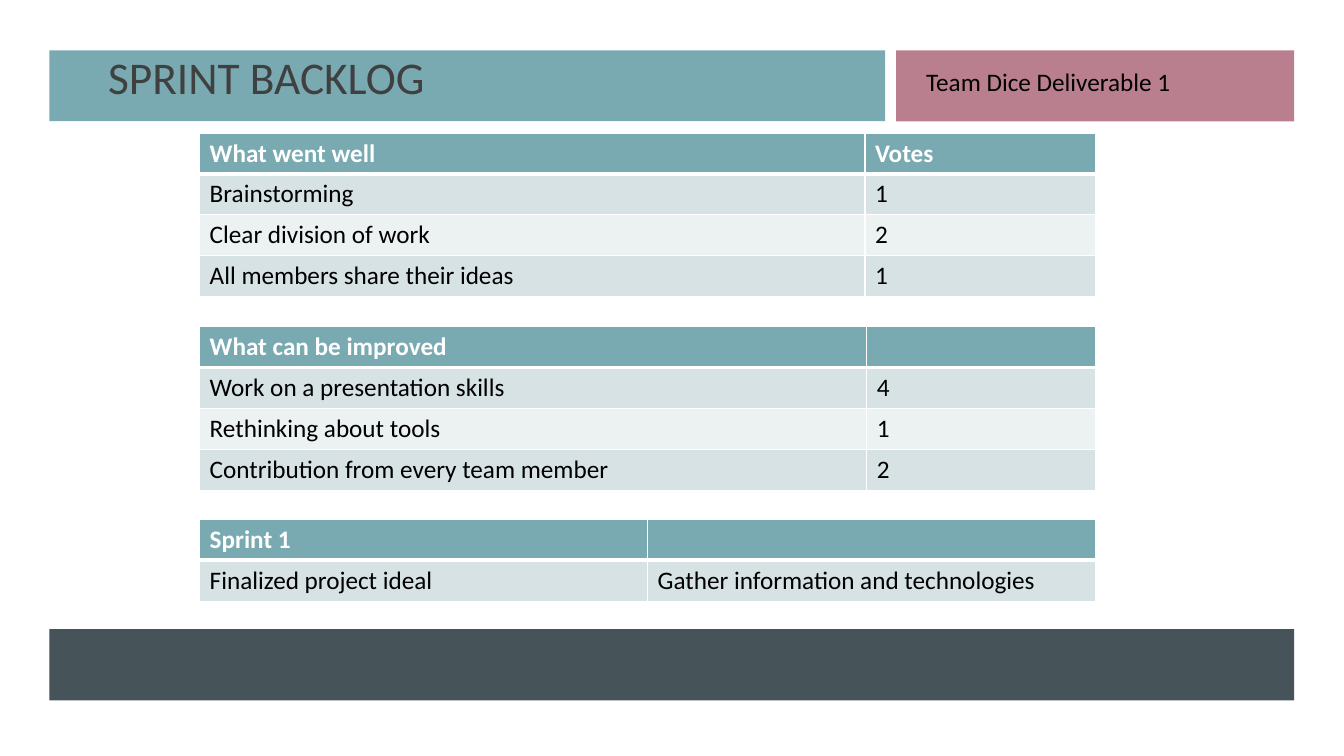
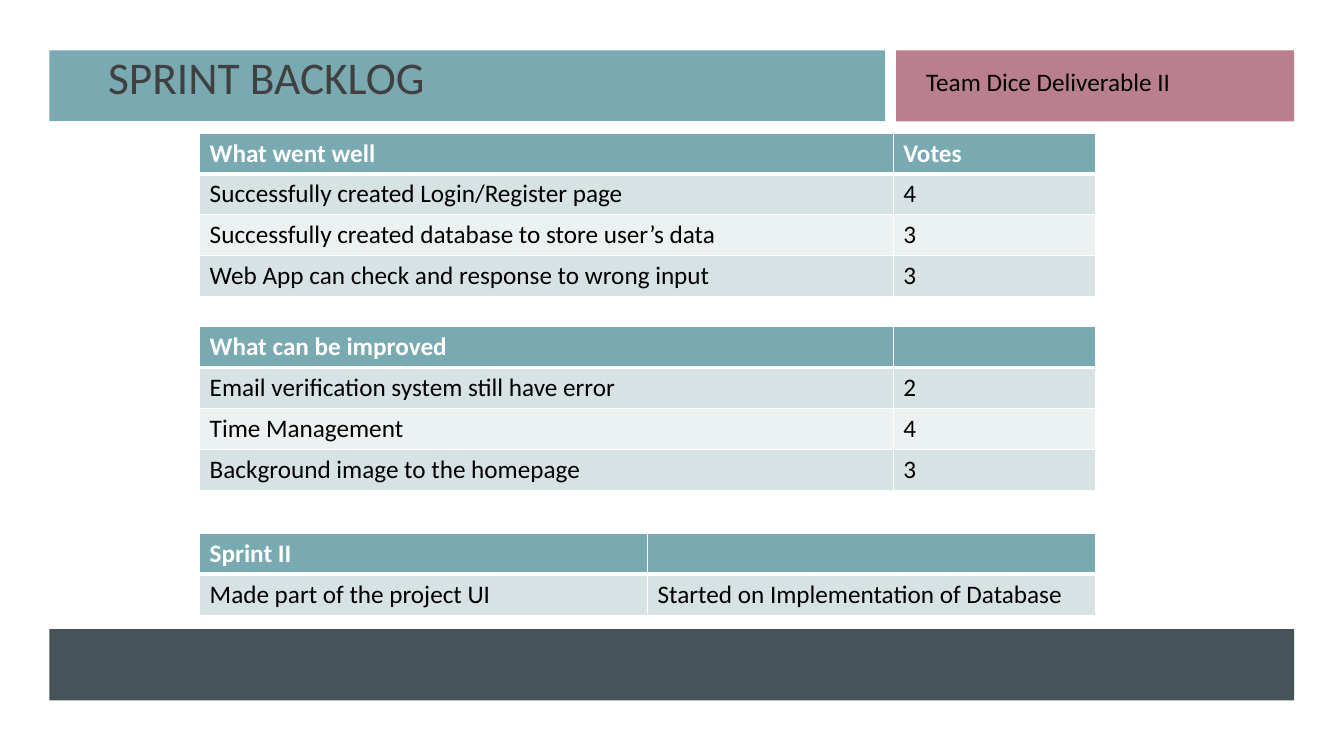
from dataclasses import dataclass

from lxml import etree
from pptx import Presentation
from pptx.dml.color import RGBColor
from pptx.enum import shapes, text
from pptx.oxml import ns
from pptx.util import Pt


@dataclass(frozen=True)
class Theme:
    """Colours, type and measures shared by all slides, lengths in points."""

    font: str = "Calibri"
    title_size: float = 32.4
    body_size: float = 18
    teal: str = "79AAB2"
    rose: str = "BA7F8F"
    slate: str = "465359"
    title_ink: str = "404040"
    ink: str = "000000"
    white: str = "FFFFFF"
    stripes: tuple = ("D7E2E4", "ECF1F2")
    thin: float = 1
    thick: float = 3
    table_left: float = 142.6
    table_width: float = 640.1
    row_height: float = 29.2


THEME = Theme()

BANDS = (
    (35.3, 36, 596.9, 50.6, THEME.teal),
    (640.1, 36, 284.4, 50.8, THEME.rose),
    (35.3, 449.3, 889.2, 51, THEME.slate),
)

SPRINTS = (
    ("Team Dice Deliverable 1", (
        (95, 475.2, (
            ("What went well", "Votes"),
            ("Brainstorming", "1"),
            ("Clear division of work", "2"),
            ("All members share their ideas", "1"))),
        (233.3, 476.6, (
            ("What can be improved", ""),
            ("Work on a presentation skills", "4"),
            ("Rethinking about tools", "1"),
            ("Contribution from every team member", "2"))),
        (371, 320, (
            ("Sprint 1", ""),
            ("Finalized project ideal", "Gather information and technologies"))),
    )),
    ("Team Dice Deliverable II", (
        (95, 495.4, (
            ("What went well", "Votes"),
            ("Successfully created Login/Register page", "4"),
            ("Successfully created database to store user’s data", "3"),
            ("Web App can check and response to wrong input", "3"))),
        (233.3, 495.4, (
            ("What can be improved", ""),
            ("Email verification system still have error", "2"),
            ("Time Management", "4"),
            ("Background image to the homepage", "3"))),
        (381, 320, (
            ("Sprint II", ""),
            ("Made part of the project UI", "Started on Implementation of Database"))),
    )),
)


def add_span(para, words, size, color, bold=False):
    """Add one formatted run to a paragraph."""
    span = para.add_run()
    span.text = words
    span.font.name = THEME.font
    span.font.size = Pt(size)
    span.font.bold = bold
    span.font.color.rgb = RGBColor.from_string(color)


def add_band(page, left, top, width, height, color):
    """Add a plain coloured rectangle."""
    band = page.shapes.add_shape(
        shapes.MSO_SHAPE.RECTANGLE, Pt(left), Pt(top), Pt(width), Pt(height))
    band.shadow.inherit = False
    band.fill.solid()
    band.fill.fore_color.rgb = RGBColor.from_string(color)
    band.line.fill.background()


def set_title(page, words):
    """Place the title placeholder in front of the bands and fill it."""
    title = page.shapes.title
    title.element.getparent().append(title.element)
    title.left, title.top, title.width, title.height = Pt(70), Pt(44), Pt(436), Pt(34)
    frame = title.text_frame
    frame.auto_size = text.MSO_AUTO_SIZE.NONE
    frame.vertical_anchor = text.MSO_ANCHOR.BOTTOM
    para = frame.paragraphs[0]
    para.alignment = text.PP_ALIGN.LEFT
    para.line_spacing = 0.9
    add_span(para, words, THEME.title_size, THEME.title_ink)


def add_label(page, words):
    """Add the deliverable name on the rose band."""
    box = page.shapes.add_textbox(Pt(654.5), Pt(44), Pt(219), Pt(29))
    box.text_frame.word_wrap = True
    add_span(box.text_frame.paragraphs[0], words, THEME.body_size, THEME.ink)


def set_borders(cell, top, bottom):
    """Draw white cell borders, with the given top and bottom widths."""
    widths = {"a:lnL": THEME.thin, "a:lnR": THEME.thin, "a:lnT": top, "a:lnB": bottom}
    properties = cell._tc.get_or_add_tcPr()
    for position, (tag, width) in enumerate(widths.items()):
        line = etree.Element(ns.qn(tag), w=str(Pt(width)))
        fill = etree.SubElement(line, ns.qn("a:solidFill"))
        etree.SubElement(fill, ns.qn("a:srgbClr"), val=THEME.white)
        properties.insert(position, line)


def format_cell(cell, words, row):
    """Fill one cell according to its row, the first being the header."""
    header = row == 0
    color = THEME.teal if header else THEME.stripes[(row - 1) % 2]
    cell.fill.solid()
    cell.fill.fore_color.rgb = RGBColor.from_string(color)
    set_borders(cell,
                top=THEME.thick if row == 1 else THEME.thin,
                bottom=THEME.thick if header else THEME.thin)
    if words:
        add_span(cell.text_frame.paragraphs[0], words, THEME.body_size,
                 THEME.white if header else THEME.ink, bold=header)


def add_grid(page, top, first_width, rows):
    """Add a two-column table with a header and striped rows."""
    frame = page.shapes.add_table(
        len(rows), 2, Pt(THEME.table_left), Pt(top),
        Pt(THEME.table_width), Pt(THEME.row_height * len(rows)))
    table = frame.table
    table.horz_banding = False
    table.columns[0].width = Pt(first_width)
    table.columns[1].width = Pt(THEME.table_width - first_width)
    for row, entries in enumerate(rows):
        table.rows[row].height = Pt(THEME.row_height)
        for column, words in enumerate(entries):
            format_cell(table.cell(row, column), words, row)


def add_backlog(deck, label, grids):
    """Add one sprint backlog slide."""
    page = deck.slides.add_slide(deck.slide_layouts.get_by_name("Title Only"))
    for band in BANDS:
        add_band(page, *band)
    set_title(page, "SPRINT BACKLOG")
    for grid in grids:
        add_grid(page, *grid)
    add_label(page, label)


def main():
    """Build and save the deck."""
    deck = Presentation()
    deck.slide_width, deck.slide_height = Pt(960), Pt(540)
    for label, grids in SPRINTS:
        add_backlog(deck, label, grids)
    deck.save("out.pptx")


if __name__ == "__main__":
    main()
